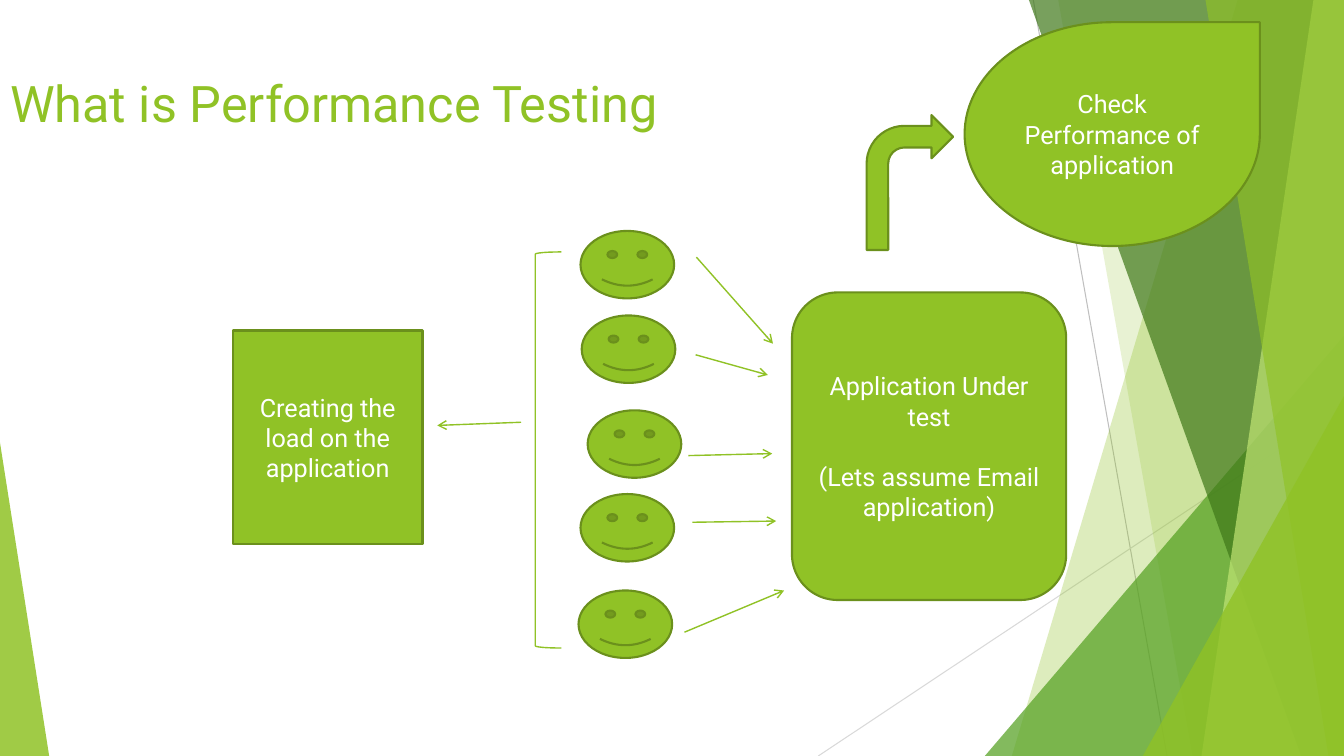
from lxml import etree
from pptx import Presentation
from pptx.dml.color import RGBColor
from pptx.enum.shapes import MSO_CONNECTOR, MSO_SHAPE
from pptx.enum.text import MSO_ANCHOR, PP_ALIGN
from pptx.oxml.ns import qn
from pptx.util import Cm, Pt

STRAIGHT = MSO_CONNECTOR.STRAIGHT
TRIANGLE = MSO_SHAPE.ISOSCELES_TRIANGLE
ROUNDED = MSO_SHAPE.ROUNDED_RECTANGLE
RECTANGLE = MSO_SHAPE.RECTANGLE
SMILEY = MSO_SHAPE.SMILEY_FACE
BRACKET = MSO_SHAPE.LEFT_BRACKET
BENT_ARROW = MSO_SHAPE.BENT_ARROW
TEARDROP = MSO_SHAPE.TEAR
TOP, MIDDLE = MSO_ANCHOR.TOP, MSO_ANCHOR.MIDDLE
LEFT, CENTER = PP_ALIGN.LEFT, PP_ALIGN.CENTER

LIME = RGBColor(0x90, 0xC2, 0x26)
OLIVE = RGBColor(0x6B, 0x90, 0x1C)
GREEN = RGBColor(0x54, 0xA0, 0x21)
FOREST = RGBColor(0x3F, 0x78, 0x19)
PALE_LIME = RGBColor(0xC0, 0xE4, 0x74)
GRAY = RGBColor(0xBF, 0xBF, 0xBF)
LIGHT_GRAY = RGBColor(0xD9, 0xD9, 0xD9)
WHITE = RGBColor(0xFF, 0xFF, 0xFF)

SLIDE_WIDTH, SLIDE_HEIGHT = 33.87, 19.05
FACE_SIZE = (2.36, 1.7)
USERS = [
    ((14.63, 5.82), (17.55, 6.48), (19.48, 8.66)),
    ((14.66, 7.95), (17.53, 8.94), (19.35, 9.45)),
    ((14.81, 10.34), (17.35, 11.48), (19.46, 11.43)),
    ((14.63, 12.45), (17.45, 13.16), (19.56, 13.13)),
    ((14.58, 14.88), (17.25, 15.93), (19.76, 14.88)),
]


class SlideBuilder:
    """Draws styled elements on one slide, with lengths in centimetres."""

    font_name = "Roboto"

    def __init__(self, slide):
        self.slide = slide
        self.shapes = slide.shapes

    def style_font(self, paragraph, size, color):
        paragraph.font.name = self.font_name
        paragraph.font.size = Pt(size)
        paragraph.font.color.rgb = color

    def title(self, text, left, top, width, height):
        title = self.shapes.title
        title.left, title.top = Cm(left), Cm(top)
        title.width, title.height = Cm(width), Cm(height)
        title.text_frame.text = text
        title.text_frame.vertical_anchor = TOP
        paragraph = title.text_frame.paragraphs[0]
        paragraph.alignment = LEFT
        self.style_font(paragraph, 36, LIME)

    def tint(self, shape, color, opacity):
        shape.shadow.inherit = False
        shape.line.fill.background()
        shape.fill.solid()
        shape.fill.fore_color.rgb = color
        color_element = shape.fill._xPr.find(qn("a:solidFill"))[0]
        alpha = etree.SubElement(color_element, qn("a:alpha"))
        alpha.set("val", str(opacity * 1000))

    def band(self, top_x, bottom_x, color, opacity):
        builder = self.shapes.build_freeform(Cm(top_x), 0)
        right, bottom = Cm(SLIDE_WIDTH), Cm(SLIDE_HEIGHT)
        builder.add_line_segments([(right, 0), (right, bottom), (Cm(bottom_x), bottom)])
        self.tint(builder.convert_to_shape(), color, opacity)

    def triangle(self, left, top, width, apex, color, opacity):
        shape = self.shapes.add_shape(
            TRIANGLE, Cm(left), Cm(top), Cm(width), Cm(SLIDE_HEIGHT - top))
        shape.adjustments[0] = apex
        self.tint(shape, color, opacity)

    def line(self, start, end, color, width):
        connector = self.shapes.add_connector(
            STRAIGHT, *(Cm(value) for value in (*start, *end)))
        connector.line.color.rgb = color
        connector.line.width = Pt(width)
        etree.SubElement(connector._element.spPr, qn("a:effectLst"))
        return connector

    def arrow(self, start, end):
        connector = self.line(start, end, LIME, 1)
        tail = etree.SubElement(connector.line._get_or_add_ln(), qn("a:tailEnd"))
        tail.set("type", "arrow")

    def node(self, kind, left, top, width, height, texts=()):
        shape = self.shapes.add_shape(kind, Cm(left), Cm(top), Cm(width), Cm(height))
        shape.shadow.inherit = False
        shape.fill.solid()
        shape.fill.fore_color.rgb = LIME
        shape.line.color.rgb = OLIVE
        shape.line.width = Pt(1.5)
        frame = shape.text_frame
        frame.word_wrap = True
        frame.vertical_anchor = MIDDLE
        for index, text in enumerate(texts):
            paragraph = frame.add_paragraph() if index else frame.paragraphs[0]
            paragraph.text = text
            paragraph.alignment = CENTER
            paragraph.space_before = Pt(21.6 if index else 0)
            self.style_font(paragraph, 18, WHITE)

    def bracket(self, left, top, width, height):
        shape = self.shapes.add_shape(BRACKET, Cm(left), Cm(top), Cm(width), Cm(height))
        shape.shadow.inherit = False
        shape.fill.background()
        shape.line.color.rgb = LIME
        shape.line.width = Pt(1)


def draw_backdrop(builder):
    builder.line((26.04, 0), (29.41, SLIDE_HEIGHT), GRAY, 0.75)
    builder.line((SLIDE_WIDTH, 10.24), (20.62, SLIDE_HEIGHT), LIGHT_GRAY, 0.75)
    builder.band(31.19, 25.5, LIME, 30)
    builder.band(26.67, 30.05, LIME, 20)
    builder.triangle(24.82, 8.46, 9.05, 1, GREEN, 72)
    builder.band(25.93, 32.79, FOREST, 70)
    builder.band(33.1, 30.28, PALE_LIME, 70)
    builder.band(30.38, 33.48, LIME, 65)
    builder.triangle(28.8, 9.98, 5.07, 1, LIME, 80)
    builder.triangle(0, 11.15, 1.24, 0, LIME, 85)


def main():
    presentation = Presentation()
    presentation.slide_width = Cm(SLIDE_WIDTH)
    presentation.slide_height = Cm(SLIDE_HEIGHT)
    builder = SlideBuilder(presentation.slides.add_slide(presentation.slide_layouts[5]))

    draw_backdrop(builder)
    builder.title("What is Performance Testing", 0, 1.7, 23.88, 3.66)
    builder.node(ROUNDED, 19.96, 7.37, 6.91, 7.75,
                 ["Application Under test", "(Lets assume Email application)"])
    for face, start, end in USERS:
        builder.node(SMILEY, *face, *FACE_SIZE)
        builder.arrow(start, end)
    builder.bracket(13.49, 6.35, 0.66, 9.98)
    builder.arrow((13.13, 10.64), (11.02, 10.72))
    builder.node(RECTANGLE, 5.87, 8.33, 4.78, 5.38,
                 ["Creating the load on the application"])
    builder.node(BENT_ARROW, 21.84, 2.9, 2.18, 3.4)
    builder.node(TEARDROP, 24.31, 0.56, 7.44, 5.64,
                 ["Check Performance of application"])
    presentation.save("out.pptx")


if __name__ == "__main__":
    main()
